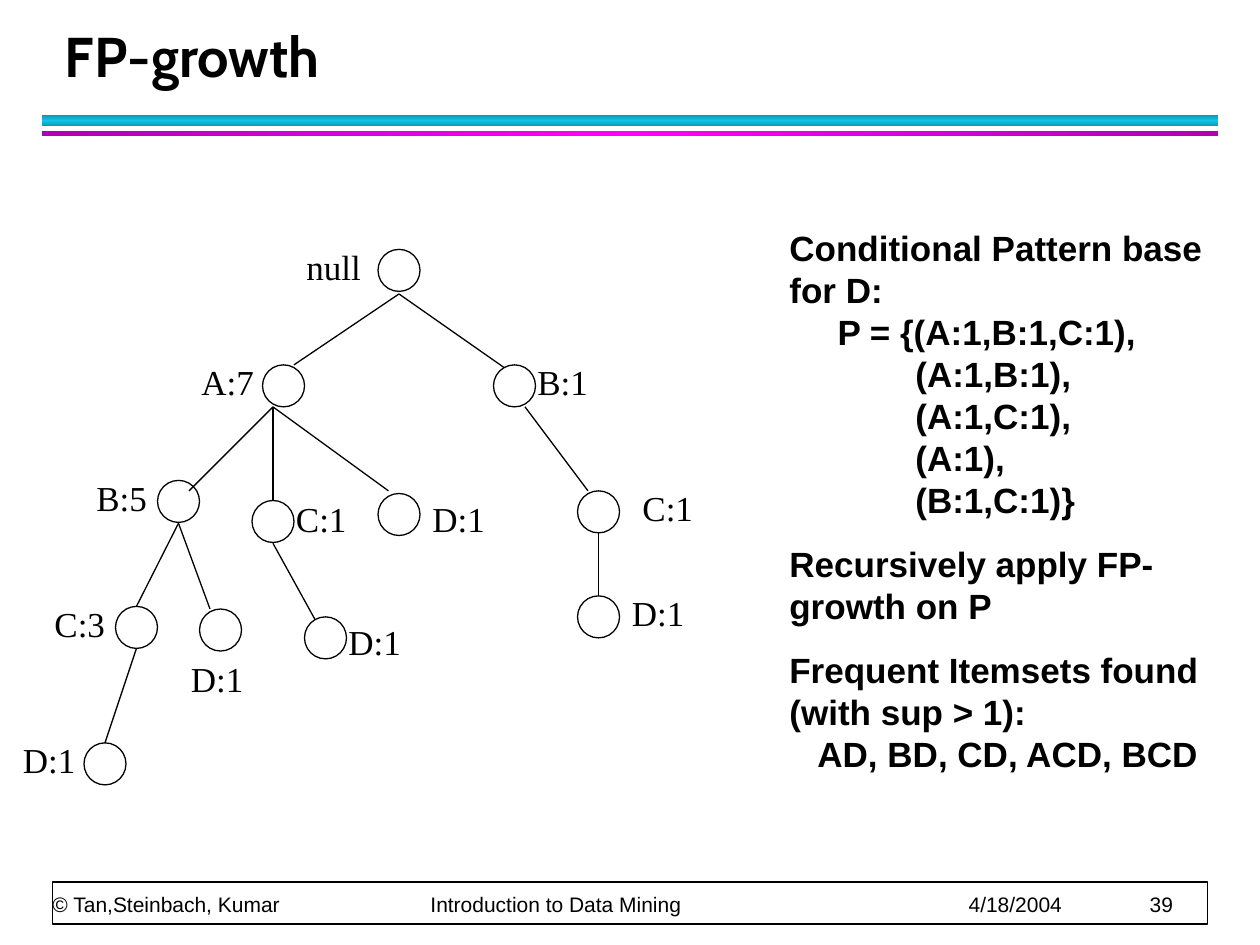
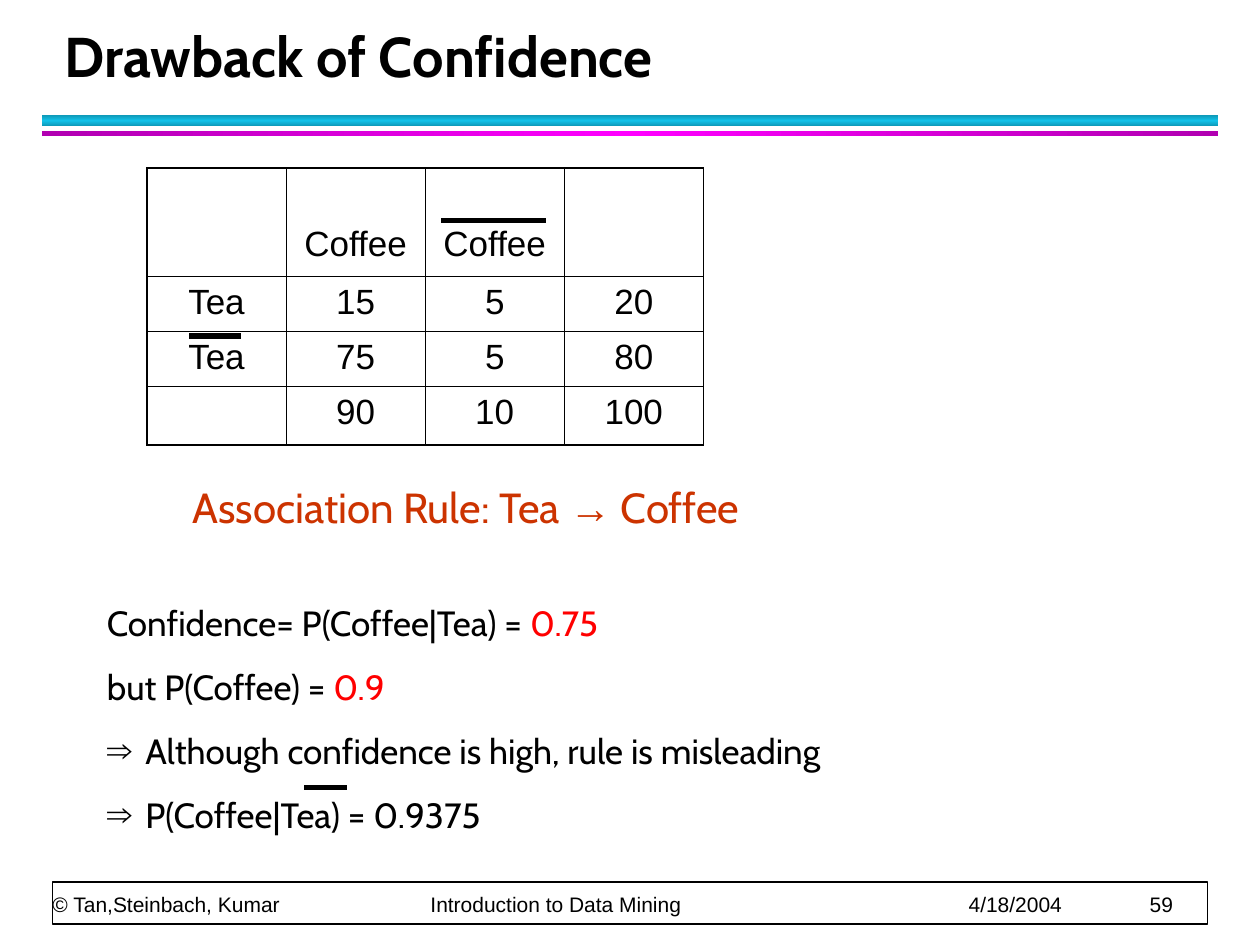
from copy import deepcopy
from pptx import Presentation
from pptx.dml.color import RGBColor
from pptx.enum import shapes as shp, text as txt
from pptx.oxml import ns, xmlchemy as xml
from pptx.util import Pt

BLACK = RGBColor(0x00, 0x00, 0x00)
WHITE = RGBColor(0xFF, 0xFF, 0xFF)
RED = RGBColor(0xFF, 0x00, 0x00)
RUST = RGBColor(0xCC, 0x33, 0x00)
CYAN, TEAL = RGBColor(0x12, 0xC2, 0xE9), RGBColor(0x0E, 0x9A, 0xB9)
PINK, PLUM = RGBColor(0xFF, 0x00, 0xFF), RGBColor(0xB1, 0x00, 0xB1)
SANS, HEAD, SERIF = "Arial", "Cabin", "Times New Roman"
TOP, LOW = txt.MSO_ANCHOR.TOP, txt.MSO_ANCHOR.BOTTOM
CENTER = txt.PP_ALIGN.CENTER


def add(parent, tag, **attrs):
    """Append a drawing element and return it."""
    node = xml.OxmlElement(tag)
    for key, val in attrs.items():
        node.set(key, str(val))
    parent.append(node)
    return node


class Deck:
    def __init__(self):
        self.prs = Presentation()
        self.prs.slide_width, self.prs.slide_height = Pt(720), Pt(540)
        self.slide = None

    def start(self, title, page):
        """New slide with title, bands and footer."""
        self.slide = self.prs.slides.add_slide(self.prs.slide_layouts[6])
        self.band(66, 6, TEAL, CYAN, 90)
        self.band(75, 3, PLUM, PINK, 0)
        self.shape("RECTANGLE", 30, 504, 660, 24, WHITE, 1)
        foot = self.box(30, 484, 660, 40, LOW, (0, 0))
        line = f"© Tan,Steinbach, Kumar\tIntroduction to Data Mining\t4/18/2004\t{page}"
        self.para(foot, [(line, BLACK)], 12, SANS, space=20, tabs=(216, 523.5, 627))
        head = self.box(30, 12, 652, 42, LOW)
        self.para(head, [(title, BLACK)], 32, HEAD, bold=True, space=36)

    def shape(self, kind, x, y, w, h, fill=None, line=None):
        form = self.slide.shapes.add_shape(
            getattr(shp.MSO_SHAPE, kind), Pt(x), Pt(y), Pt(w), Pt(h))
        form.shadow.inherit = False
        if fill is None:
            form.fill.background()
        else:
            form.fill.solid()
            form.fill.fore_color.rgb = fill
        if line is None:
            form.line.fill.background()
        else:
            form.line.color.rgb = BLACK
            form.line.width = Pt(line)
        return form

    def band(self, y, h, edge, mid, angle):
        form = self.shape("RECTANGLE", 24, y, 672, h)
        form.fill.gradient()
        form.fill.gradient_angle = angle
        for stop, color, pos in zip(form.fill.gradient_stops, (edge, mid), (0, 0.5)):
            stop.color.rgb = color
            stop.position = pos
        stops = form._element.find(".//" + ns.qn("a:gsLst"))
        last = deepcopy(stops[0])
        last.set("pos", "100000")
        stops.append(last)

    def line(self, start, end, width=0.75):
        ends = [Pt(v) for v in (*start, *end)]
        link = self.slide.shapes.add_connector(shp.MSO_CONNECTOR.STRAIGHT, *ends)
        link.line.color.rgb = BLACK
        link.line.width = Pt(width)
        add(link._element.spPr, "a:effectLst")

    def box(self, x, y, w, h, anchor=TOP, pad=(7.2, 3.6)):
        frame = self.slide.shapes.add_textbox(Pt(x), Pt(y), Pt(w), Pt(h)).text_frame
        frame.word_wrap = True
        frame.vertical_anchor = anchor
        frame.margin_left = frame.margin_right = Pt(pad[0])
        frame.margin_top = frame.margin_bottom = Pt(pad[1])
        return frame

    def para(self, frame, runs, size, font, bold=False, before=0, space=None,
             indent=0, bullet=None, tabs=(), align=None):
        """Fill the empty first paragraph or add one; runs are (text, colour[, font])."""
        first = frame.paragraphs[0]
        para = frame.add_paragraph() if first.runs else first
        props = para._p.get_or_add_pPr()
        if indent:
            props.set("marL", str(Pt(indent)))
        if bullet:
            props.set("indent", str(-Pt(indent)))
            add(props, "a:buFont", typeface=SANS)
            add(props, "a:buChar", char=bullet)
        if tabs:
            stops = add(props, "a:tabLst")
            for pos in tabs:
                add(stops, "a:tab", pos=Pt(pos), algn="l")
        para.space_before = Pt(before)
        if space:
            para.line_spacing = Pt(space)
        if align:
            para.alignment = align
        for words, color, *face in runs:
            run = para.add_run()
            run.text = words
            run.font.size = Pt(size)
            run.font.name = face[0] if face else font
            run.font.bold = bold
            run.font.color.rgb = color

    def table(self, x, y, width, heights, rows):
        count = len(rows[0])
        frame = self.slide.shapes.add_table(
            len(rows), count, Pt(x), Pt(y), Pt(width * count), Pt(sum(heights)))
        grid = frame.table
        grid.first_row = grid.horz_banding = False
        for col in grid.columns:
            col.width = Pt(width)
        for r, (row, height) in enumerate(zip(rows, heights)):
            grid.rows[r].height = Pt(height)
            for c, words in enumerate(row):
                cell = grid.cell(r, c)
                outer = {"L": c == 0, "R": c == count - 1,
                         "T": r == 0, "B": r == len(rows) - 1}
                self.edges(cell, outer)
                cell.fill.background()
                cell.vertical_anchor = TOP if r else LOW
                cell.margin_top = Pt(3.6)
                cell.margin_bottom = Pt(3.6 if r else 7.2)
                if words:
                    self.para(cell.text_frame, [(words, BLACK)], 20, SANS, align=CENTER)

    def edges(self, cell, outer):
        """Draw cell borders, thicker on the outside of the table."""
        props = cell._tc.get_or_add_tcPr()
        for side, thick in outer.items():
            edge = add(props, "a:ln" + side, w=Pt(1.08 if thick else 0.45))
            add(add(edge, "a:solidFill"), "a:srgbClr", val=BLACK)


def growth(deck):
    deck.start("FP-growth", 39)

    # Tree nodes: label, circle corner, label corner
    nodes = [
        ("null", (216, 142.5), (168, 136.5)),
        ("A:7", (150, 208.5), (108, 202.5)),
        ("B:1", (282, 208.5), (300, 202.5)),
        ("B:5", (90, 274.5), (48, 268.5)),
        ("C:1", (144, 286), (162, 280.5)),
        ("D:1", (216, 282), (240, 280.5)),
        ("C:1", (330, 280.5), (360, 274.5)),
        ("D:1", (330, 340.5), (354, 334.5)),
        ("C:3", (66, 346.5), (24, 340.5)),
        ("D:1", (114, 348), (102, 372)),
        ("D:1", (174, 352.5), (192, 351)),
        ("D:1", (48, 424.5), (6, 418.5)),
    ]
    for name, spot, label in nodes:
        deck.shape("OVAL", *spot, 24, 24, line=0.75)
        deck.para(deck.box(*label, 48, 32), [(name, BLACK)], 20, SERIF, space=24)

    # Branches: parent point to child points
    links = {
        (228, 168): [(168, 208.5), (288, 210)],
        (156, 232.5): [(108, 280.5), (156, 286.5), (222, 280.5)],
        (300, 232.5): [(336, 280.5)],
        (342, 304.5): [(342, 340.5)],
        (156, 310.5): [(180, 354)],
        (102, 299): [(78, 346.5), (120, 348)],
        (78, 370.5): [(60, 424.5)],
    }
    for start, ends in links.items():
        for end in ends:
            deck.line(start, end)

    # Notes: text, indent, space before
    notes = [
        ("Conditional Pattern base for D:", 0, 0),
        ("P = {(A:1,B:1,C:1),", 27.5, 0),
        ("(A:1,B:1),", 72, 0),
        ("(A:1,C:1),", 72, 0),
        ("(A:1),", 72, 0),
        ("(B:1,C:1)}", 72, 0),
        ("Recursively apply FP-growth on P", 0, 12.5),
        ("Frequent Itemsets found (with sup > 1):", 0, 12.5),
        ("AD, BD, CD, ACD, BCD", 16, 0),
    ]
    frame = deck.box(444, 126, 264, 320)
    for words, indent, before in notes:
        deck.para(frame, [(words, BLACK)], 20, SANS, bold=True,
                  before=before, space=24, indent=indent)


def drawback(deck):
    deck.start("Drawback of Confidence", 59)

    # Counts
    deck.table(84, 96, 79.5, (62, 31.5, 31.5, 33.5), [
        ("", "Coffee", "Coffee", ""),
        ("Tea", "15", "5", "20"),
        ("Tea", "75", "5", "80"),
        ("", "90", "10", "100"),
    ])

    # Rule and reasoning
    frame = deck.box(54, 271.5, 582, 211)
    rule = [("Association Rule: Tea ", RUST), ("→", RUST, SANS), (" Coffee", RUST)]
    deck.para(frame, rule, 24, HEAD, indent=49)
    facts = [
        ([("Confidence= P(Coffee|Tea) = ", BLACK), ("0.75", RED)], 40, {}),
        ([("but P(Coffee) = ", BLACK), ("0.9", RED)], 12.5, {}),
    ]
    point = {"indent": 22, "bullet": "⇒"}
    for words in ("Although confidence is high, rule is misleading",
                  "P(Coffee|Tea) = 0.9375"):
        facts.append(([(words, BLACK)], 12.5, point))
    for runs, before, style in facts:
        deck.para(frame, runs, 20, HEAD, before=before, **style)

    # Bars over negated items
    for x, y, width in ((252, 126, 60), (108, 192, 30), (174, 450, 24)):
        deck.line((x, y), (x + width, y), 3)


def main():
    deck = Deck()
    growth(deck)
    drawback(deck)
    deck.prs.save("out.pptx")


if __name__ == "__main__":
    main()
